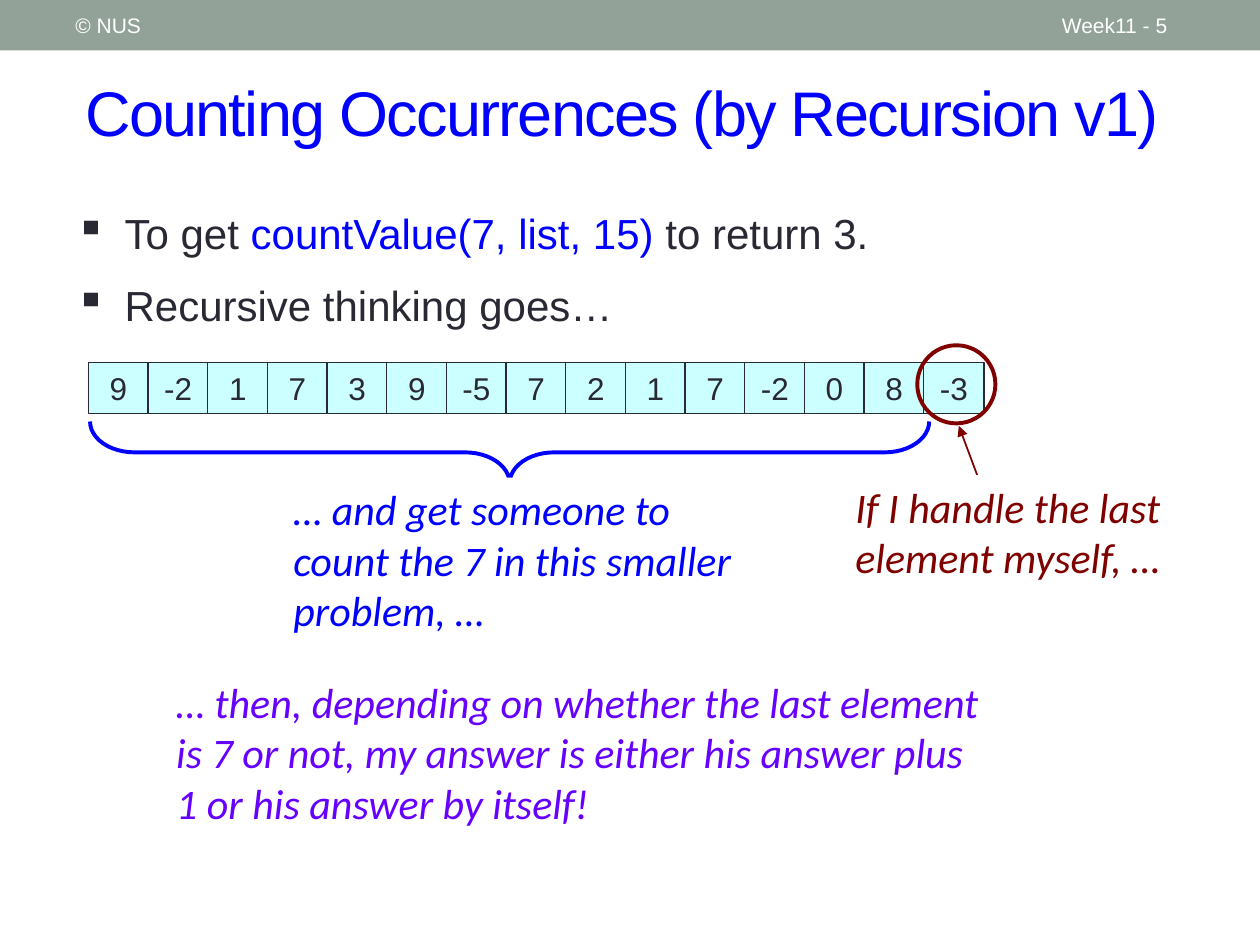
from lxml.etree import SubElement
from pptx import Presentation
from pptx.dml.color import RGBColor
from pptx.enum.shapes import MSO_CONNECTOR, MSO_SHAPE
from pptx.enum.text import MSO_ANCHOR, PP_ALIGN
from pptx.oxml.ns import qn
from pptx.util import Inches, Pt

WHITE = RGBColor(0xFF, 0xFF, 0xFF)
SAGE = RGBColor(0x93, 0xA2, 0x99)
INK = RGBColor(0x29, 0x29, 0x34)
BLUE = RGBColor(0x00, 0x00, 0xFF)
CYAN = RGBColor(0xCC, 0xFF, 0xFF)
MAROON = RGBColor(0x80, 0x00, 0x00)
VIOLET = RGBColor(0x66, 0x00, 0xFF)


class SlideBuilder:
    heading_font = "Arial"
    note_font = "Calibri"
    body_size = 24

    def __init__(self, slide):
        self.slide = slide

    def style(self, paragraph, size, color, name=heading_font, italic=None):
        font = paragraph.font
        font.name, font.size, font.italic = name, Pt(size), italic
        font.color.rgb = color

    def shape(self, kind, left, top, width, height, fill=None, line=None, line_width=0.75):
        shape = self.slide.shapes.add_shape(
            kind, Inches(left), Inches(top), Inches(width), Inches(height))
        shape.shadow.inherit = False
        if fill is None:
            shape.fill.background()
        else:
            shape.fill.solid()
            shape.fill.fore_color.rgb = fill
        if line is None:
            shape.line.fill.background()
        else:
            shape.line.color.rgb = line
            shape.line.width = Pt(line_width)
        return shape

    def text_box(self, left, top, width, height, anchor=MSO_ANCHOR.TOP):
        box = self.slide.shapes.add_textbox(
            Inches(left), Inches(top), Inches(width), Inches(height))
        box.text_frame.word_wrap = True
        box.text_frame.vertical_anchor = anchor
        return box

    def label(self, text, left, top, width, height, size, color, spacing=None):
        box = self.text_box(left, top, width, height, MSO_ANCHOR.MIDDLE)
        paragraph = box.text_frame.paragraphs[0]
        run = paragraph.add_run()
        run.text = text
        self.style(paragraph, size, color)
        if spacing is not None:
            run.font._element.set("spc", str(spacing))

    def bullets(self, items, left, top, width, height):
        frame = self.text_box(left, top, width, height).text_frame
        for index, runs in enumerate(items):
            paragraph = frame.add_paragraph() if index else frame.paragraphs[0]
            properties = paragraph._p.get_or_add_pPr()
            properties.set("marL", str(Inches(0.39)))
            properties.set("indent", str(-Inches(0.39)))
            SubElement(properties, qn("a:buChar")).set("char", "▪")
            if index:
                paragraph.space_before = Pt(12)
            self.style(paragraph, self.body_size, INK)
            for text, color in runs:
                run = paragraph.add_run()
                run.text = text
                run.font.color.rgb = color

    def cell(self, text, left, top, width, height):
        cell = self.shape(MSO_SHAPE.RECTANGLE, left, top, width, height, CYAN, INK)
        frame = cell.text_frame
        frame.word_wrap = False
        frame.vertical_anchor = MSO_ANCHOR.TOP
        paragraph = frame.paragraphs[0]
        paragraph.text = text
        paragraph.alignment = PP_ALIGN.CENTER
        self.style(paragraph, 18, INK)

    def note(self, text, left, top, width, height, color):
        note = self.shape(MSO_SHAPE.RECTANGLE, left, top, width, height, WHITE)
        note.text_frame.word_wrap = True
        note.text_frame.vertical_anchor = MSO_ANCHOR.TOP
        paragraph = note.text_frame.paragraphs[0]
        paragraph.text = text
        paragraph.alignment = PP_ALIGN.LEFT
        self.style(paragraph, self.body_size, color, self.note_font, True)

    def arrow(self, start, end, color):
        arrow = self.slide.shapes.add_connector(
            MSO_CONNECTOR.STRAIGHT, *map(Inches, start + end))
        arrow.line.color.rgb = color
        arrow.line.width = Pt(1)
        SubElement(arrow.line._get_or_add_ln(), qn("a:tailEnd")).set("type", "triangle")
        SubElement(arrow._element.spPr, qn("a:effectLst"))


def main():
    presentation = Presentation()
    presentation.slide_width, presentation.slide_height = Inches(10), Inches(7.5)
    builder = SlideBuilder(presentation.slides.add_slide(presentation.slide_layouts[6]))

    # Header band and title
    builder.shape(MSO_SHAPE.RECTANGLE, 0, 0, 10, 0.4, SAGE)
    builder.label("Counting Occurrences (by Recursion v1)",
                  0.58, 0.42, 9.17, 0.92, 36, BLUE, spacing=-100)
    builder.label("Week11 - 5", 8.33, 0.02, 1.17, 0.36, 12, WHITE)
    builder.label("© NUS", 0.5, 0.02, 3.17, 0.36, 12, WHITE)

    # Bullets
    builder.bullets([
        [("To get ", INK), ("countValue(7, list, 15)", BLUE), (" to return 3.", INK)],
        [("Recursive thinking goes…", INK)],
    ], 0.5, 1.6, 7.85, 1.08)

    # List elements, evenly spaced
    values = [9, -2, 1, 7, 3, 9, -5, 7, 2, 1, 7, -2, 0, 8, -3]
    first_left, last_left = 0.7, 7.33
    pitch = (last_left - first_left) / (len(values) - 1)
    for index, value in enumerate(values):
        builder.cell(str(value), first_left + index * pitch, 2.88, 0.48, 0.4)

    # Last element
    builder.arrow((7.8, 3.89), (7.61, 3.38), MAROON)
    builder.note("If I handle the last element myself, …", 6.69, 3.77, 2.79, 0.91, MAROON)
    builder.shape(MSO_SHAPE.OVAL, 7.28, 2.74, 0.62, 0.62, line=MAROON, line_width=2.25)

    # Smaller problem
    brace = builder.shape(MSO_SHAPE.LEFT_BRACE, 3.8, 0.26, 0.49, 6.66,
                          line=BLUE, line_width=2.25)
    brace.rotation = 270
    brace.adjustments[0] = 0.72
    builder.note("… and get someone to count the 7 in this smaller problem, …",
                 2.23, 3.79, 3.92, 1.31, BLUE)

    # Conclusion
    builder.note("… then, depending on whether the last element is 7 or not, my answer "
                 "is either his answer plus 1 or his answer by itself!",
                 1.3, 5.32, 6.64, 1.31, VIOLET)

    presentation.save("out.pptx")


if __name__ == "__main__":
    main()
